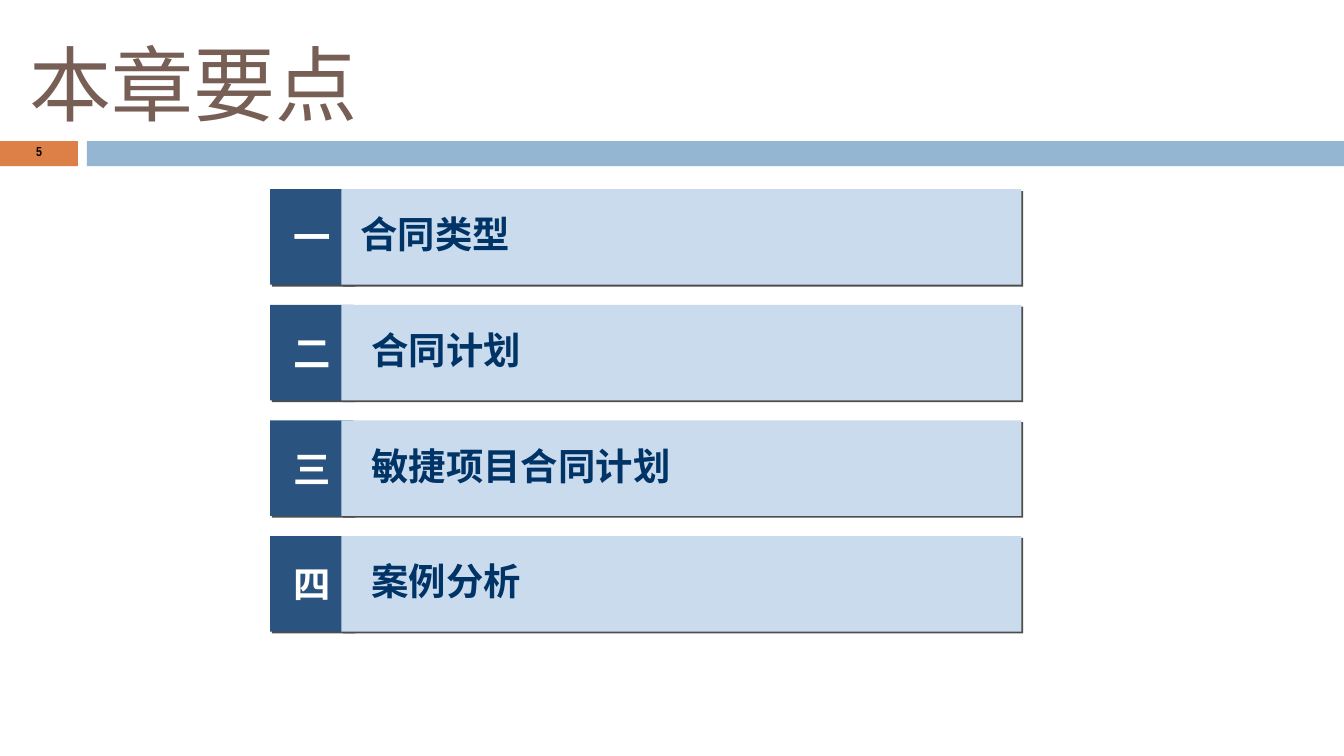
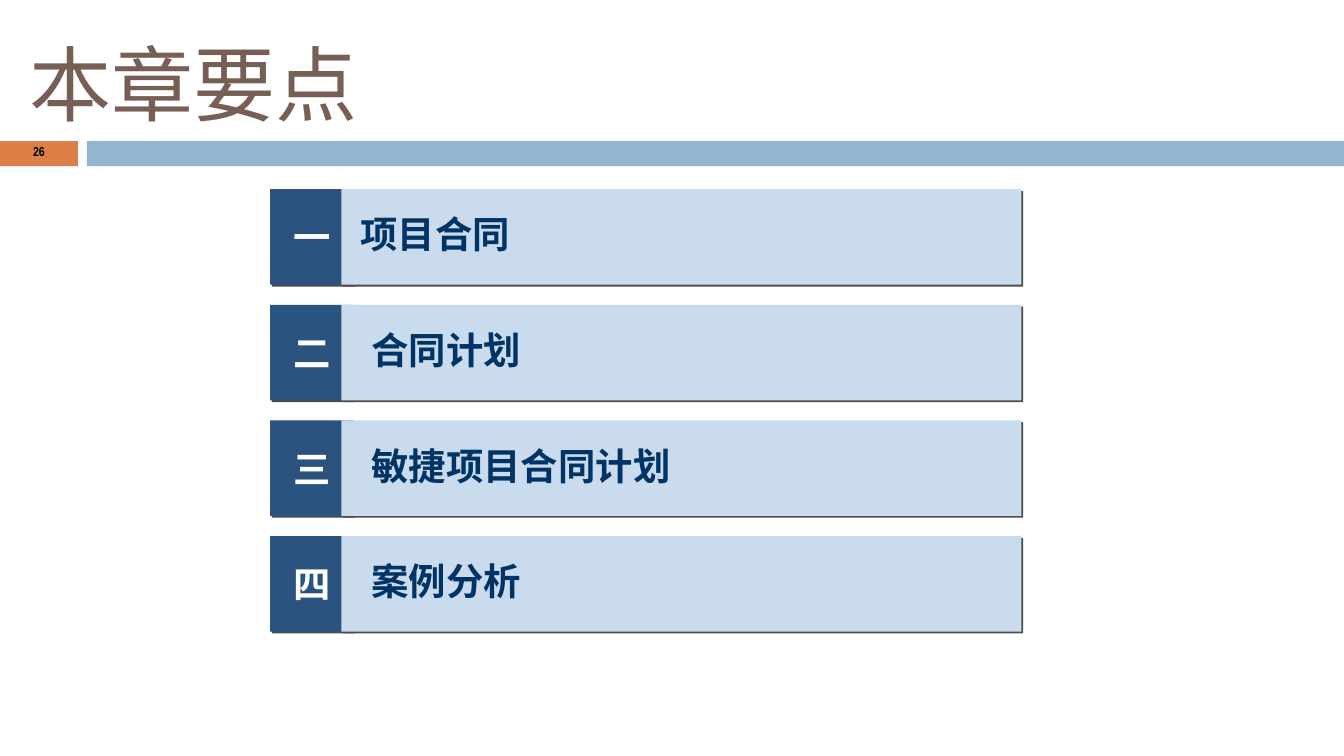
from lxml import etree
from pptx import Presentation
from pptx.dml.color import RGBColor
from pptx.enum import shapes, text
from pptx.oxml import ns
from pptx.util import Pt

CJK = "Noto Sans CJK SC"
NARROW = "Arial Narrow"
ORANGE, BLUE = "DD8047", "94B6D2"
NAVY, PALE, SHADOW = "2A5380", "CADBEE", "4D4D4D"
BROWN, INK, WHITE, BLACK = "775F55", "003366", "FFFFFF", "000000"

SLIDE_WIDTH, SLIDE_HEIGHT = 720, 405
TITLE_BOX = (8.64, 10, 612, 67.7)
BAND_BOX = (0, 75.6, SLIDE_WIDTH, 13.5)
AGENDA_BOX = (144.72, 101.4, 402.48, 237)
ROW_HEIGHT = 51.2
NUMERALS = "一二三四"


def color(value):
    return RGBColor.from_string(value)


def add_shape(slide, box, fill=None, kind=shapes.MSO_SHAPE.RECTANGLE):
    shape = slide.shapes.add_shape(kind, *map(Pt, box))
    shape.shadow.inherit = False
    shape.line.fill.background()
    if fill:
        shape.fill.solid()
        shape.fill.fore_color.rgb = color(fill)
    else:
        shape.fill.background()
    return shape


def cast_shadow(shape):
    effects = shape._element.spPr.find(ns.qn("a:effectLst"))
    shadow = etree.SubElement(
        effects, ns.qn("a:outerShdw"),
        blurRad="0", dist=str(Pt(1.4)), dir=str(45 * 60000), algn="ctr", rotWithShape="0")
    etree.SubElement(shadow, ns.qn("a:srgbClr"), val=SHADOW)


def write(shape, words, size, ink, font=CJK, bold=True, align=text.PP_ALIGN.LEFT, wrap=False):
    frame = shape.text_frame
    frame.word_wrap = wrap
    frame.vertical_anchor = text.MSO_ANCHOR.MIDDLE
    paragraph = frame.paragraphs[0]
    paragraph.alignment = align
    run = paragraph.add_run()
    run.text = words
    run.font.size = Pt(size)
    run.font.bold = bold
    run.font.name = font
    run.font.color.rgb = color(ink)
    etree.SubElement(run.font._element, ns.qn("a:ea"), typeface=font)
    return frame


def add_title(slide, box, words):
    title = slide.shapes.add_textbox(*map(Pt, box))
    frame = write(title, words, 44, BROWN, bold=False, wrap=True)
    frame.vertical_anchor = text.MSO_ANCHOR.BOTTOM
    frame.margin_top, frame.margin_bottom = 0, Pt(7)


def add_band(slide, box, page):
    left, top, width, height = box
    tab_width, gap = 41.8, 4.8
    bar_left = left + tab_width + gap
    add_shape(slide, (left, top, tab_width, height), ORANGE)
    add_shape(slide, (bar_left, top, left + width - bar_left, height), BLUE)
    number = slide.shapes.add_textbox(Pt(left), Pt(top - 0.7), Pt(tab_width), Pt(height + 0.9))
    frame = write(number, str(page), 7, BLACK, NARROW, align=text.PP_ALIGN.CENTER, wrap=True)
    frame.paragraphs[0].line_spacing = 0.8


def add_row(slide, box, numeral, topic, indent, label_width):
    left, top, width, height = box
    panel_offset = 38.16
    badge = add_shape(slide, (left, top, 44.64, height), NAVY)
    write(badge, numeral, 20, WHITE, align=text.PP_ALIGN.CENTER)
    panel = add_shape(slide, (left + panel_offset, top, width - panel_offset, height), PALE)
    for part in (badge, panel):
        cast_shadow(part)
    label = add_shape(slide, (left + panel_offset + indent, top + 5.6, label_width, 36.7),
                      kind=shapes.MSO_SHAPE.ROUNDED_RECTANGLE)
    write(label, topic, 20, INK)


def add_agenda(slide, box, topics):
    left, top, width, height = box
    pitch = (height - ROW_HEIGHT) / (len(topics) - 1)
    indents = (1.44, 7.2, 7.2, 7.2)
    label_widths = (345.6, 340.6, 317.5, 317.5)
    for index, row in enumerate(zip(NUMERALS, topics, indents, label_widths)):
        add_row(slide, (left, top + index * pitch, width, ROW_HEIGHT), *row)


def add_outline_slide(presentation, page, first_topic):
    slide = presentation.slides.add_slide(presentation.slide_layouts[6])
    add_band(slide, BAND_BOX, page)
    add_title(slide, TITLE_BOX, "本章要点")
    add_agenda(slide, AGENDA_BOX, (first_topic, "合同计划", "敏捷项目合同计划", "案例分析"))


def main():
    presentation = Presentation()
    presentation.slide_width = Pt(SLIDE_WIDTH)
    presentation.slide_height = Pt(SLIDE_HEIGHT)
    for page, first_topic in ((5, "合同类型"), (26, "项目合同")):
        add_outline_slide(presentation, page, first_topic)
    presentation.save("out.pptx")


if __name__ == "__main__":
    main()
